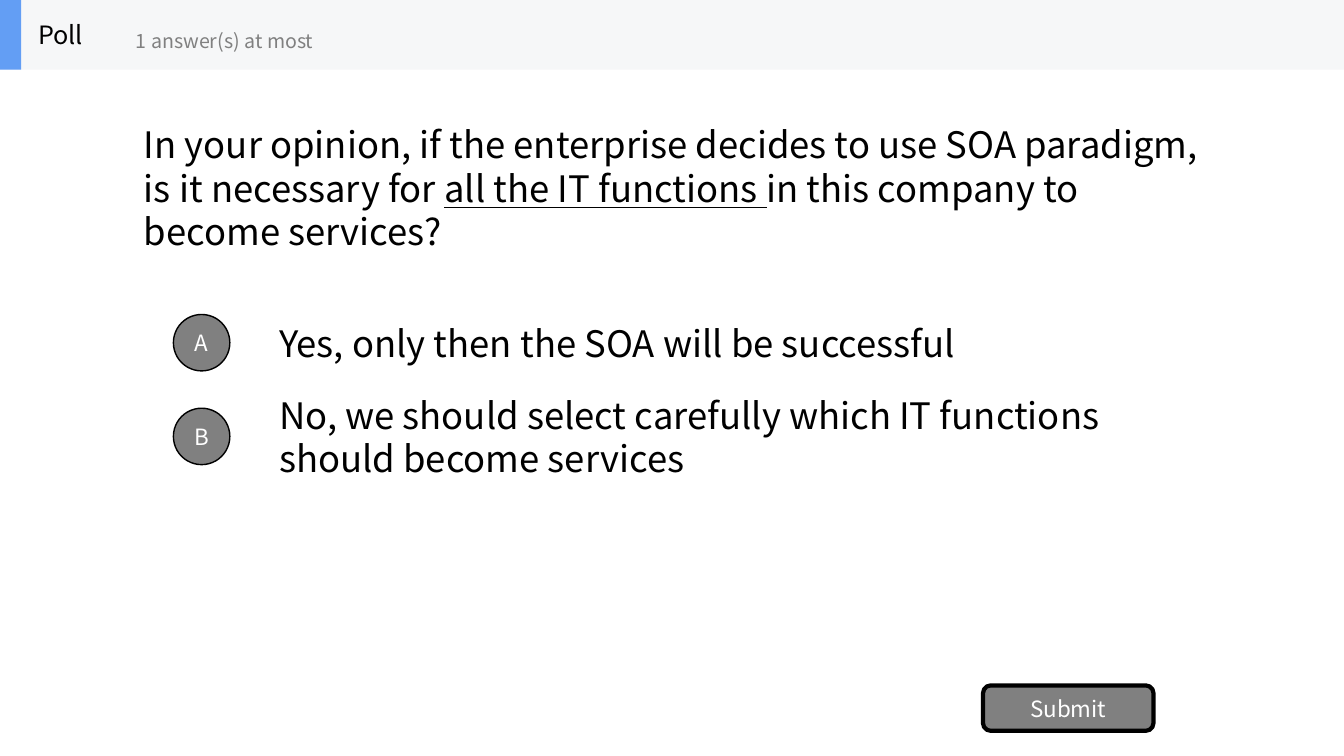
from dataclasses import dataclass
from typing import Optional

from pptx import Presentation
from pptx.dml.color import RGBColor
from pptx.enum.shapes import MSO_SHAPE
from pptx.enum.text import MSO_ANCHOR, PP_ALIGN
from pptx.shapes.base import BaseShape
from pptx.shapes.shapetree import GroupShapes, SlideShapes
from pptx.util import Inches, Pt

RECTANGLE = MSO_SHAPE.RECTANGLE
ROUNDED = MSO_SHAPE.ROUNDED_RECTANGLE
OVAL = MSO_SHAPE.OVAL
MIDDLE = MSO_ANCHOR.MIDDLE
LEFT, CENTER = PP_ALIGN.LEFT, PP_ALIGN.CENTER


@dataclass(frozen=True)
class Theme:
    font: str = "Noto Sans CJK SC"
    ink: RGBColor = RGBColor(0x00, 0x00, 0x00)
    gray: RGBColor = RGBColor(0x80, 0x80, 0x80)
    white: RGBColor = RGBColor(0xFF, 0xFF, 0xFF)
    header: RGBColor = RGBColor(0xF6, 0xF7, 0xF8)
    accent: RGBColor = RGBColor(0x63, 0x9E, 0xF4)
    body_size: int = 26
    title_size: int = 18
    button_size: int = 16
    hint_size: int = 14


@dataclass(frozen=True)
class Box:
    left: float
    top: float
    width: float
    height: float

    def lengths(self) -> tuple[int, int, int, int]:
        return (Inches(self.left), Inches(self.top),
                Inches(self.width), Inches(self.height))


@dataclass(frozen=True)
class Phrase:
    text: str
    underline: bool = False


@dataclass(frozen=True)
class Option:
    letter: str
    answer: str


THEME = Theme()
SLIDE = Box(0, 0, 13.33, 7.5)
HEADER_HEIGHT = 0.69
OPTION_TOP, OPTION_PITCH, OPTION_HEIGHT = 3.05, 0.93, 0.7
BADGE_SIZE = 0.56
QUESTION = [
    Phrase("In your opinion, if the enterprise decides to use SOA paradigm, "
           "is it necessary for "),
    Phrase("all the IT functions ", underline=True),
    Phrase("in this company to become services?"),
]
OPTIONS = [
    Option("A", "Yes, only then the SOA will be successful"),
    Option("B", "No, we should select carefully which IT functions "
                "should become services"),
]


def write(shape: BaseShape, phrases: list[Phrase], size: int,
          color: RGBColor, align: PP_ALIGN = LEFT) -> None:
    frame = shape.text_frame
    frame.word_wrap = True
    frame.vertical_anchor = MIDDLE
    paragraph = frame.paragraphs[0]
    paragraph.alignment = align
    for phrase in phrases:
        run = paragraph.add_run()
        run.text = phrase.text
        run.font.name = THEME.font
        run.font.size = Pt(size)
        run.font.color.rgb = color
        if phrase.underline:
            run.font.underline = True


def add_text(shapes: SlideShapes | GroupShapes, box: Box,
             phrases: list[Phrase], size: int, color: RGBColor) -> None:
    write(shapes.add_textbox(*box.lengths()), phrases, size, color)


def add_panel(shapes: SlideShapes | GroupShapes, kind: MSO_SHAPE, box: Box,
              fill: RGBColor, outline: Optional[float] = None) -> BaseShape:
    panel = shapes.add_shape(kind, *box.lengths())
    panel.shadow.inherit = False
    panel.fill.solid()
    panel.fill.fore_color.rgb = fill
    if outline is None:
        panel.line.fill.background()
    else:
        panel.line.color.rgb = THEME.ink
        panel.line.width = Pt(outline)
    return panel


def add_button(shapes: SlideShapes, kind: MSO_SHAPE, box: Box,
               label: str, outline: float) -> None:
    button = add_panel(shapes, kind, box, THEME.gray, outline)
    write(button, [Phrase(label)], THEME.button_size, THEME.white, CENTER)


def add_option(shapes: SlideShapes, index: int, option: Option) -> None:
    top = OPTION_TOP + index * OPTION_PITCH
    badge_top = top + (OPTION_HEIGHT - BADGE_SIZE) / 2
    add_text(shapes, Box(2.67, top, 9.33, OPTION_HEIGHT),
             [Phrase(option.answer)], THEME.body_size, THEME.ink)
    add_button(shapes, OVAL, Box(1.72, badge_top, BADGE_SIZE, BADGE_SIZE),
               option.letter, 1)


def add_header(shapes: SlideShapes) -> None:
    header = shapes.add_group_shape().shapes
    add_panel(header, RECTANGLE, Box(0, 0, SLIDE.width, HEADER_HEIGHT),
              THEME.header)
    add_panel(header, RECTANGLE, Box(0, 0, 0.21, HEADER_HEIGHT), THEME.accent)
    add_text(header, Box(0.28, 0, 2.08, HEADER_HEIGHT),
             [Phrase("Poll")], THEME.title_size, THEME.ink)
    add_text(header, Box(1.25, 0.12, 2.5, 0.56),
             [Phrase("1 answer(s) at most")], THEME.hint_size, THEME.gray)


def main() -> None:
    presentation = Presentation()
    presentation.slide_width = Inches(SLIDE.width)
    presentation.slide_height = Inches(SLIDE.height)
    shapes = presentation.slides.add_slide(presentation.slide_layouts[6]).shapes
    add_text(shapes, Box(1.33, HEADER_HEIGHT, 10.67, 2.34),
             QUESTION, THEME.body_size, THEME.ink)
    for index, option in enumerate(OPTIONS):
        add_option(shapes, index, option)
    add_button(shapes, ROUNDED, Box(9.75, 6.8, 1.69, 0.45), "Submit", 3)
    add_header(shapes)
    presentation.save("out.pptx")


if __name__ == "__main__":
    main()
